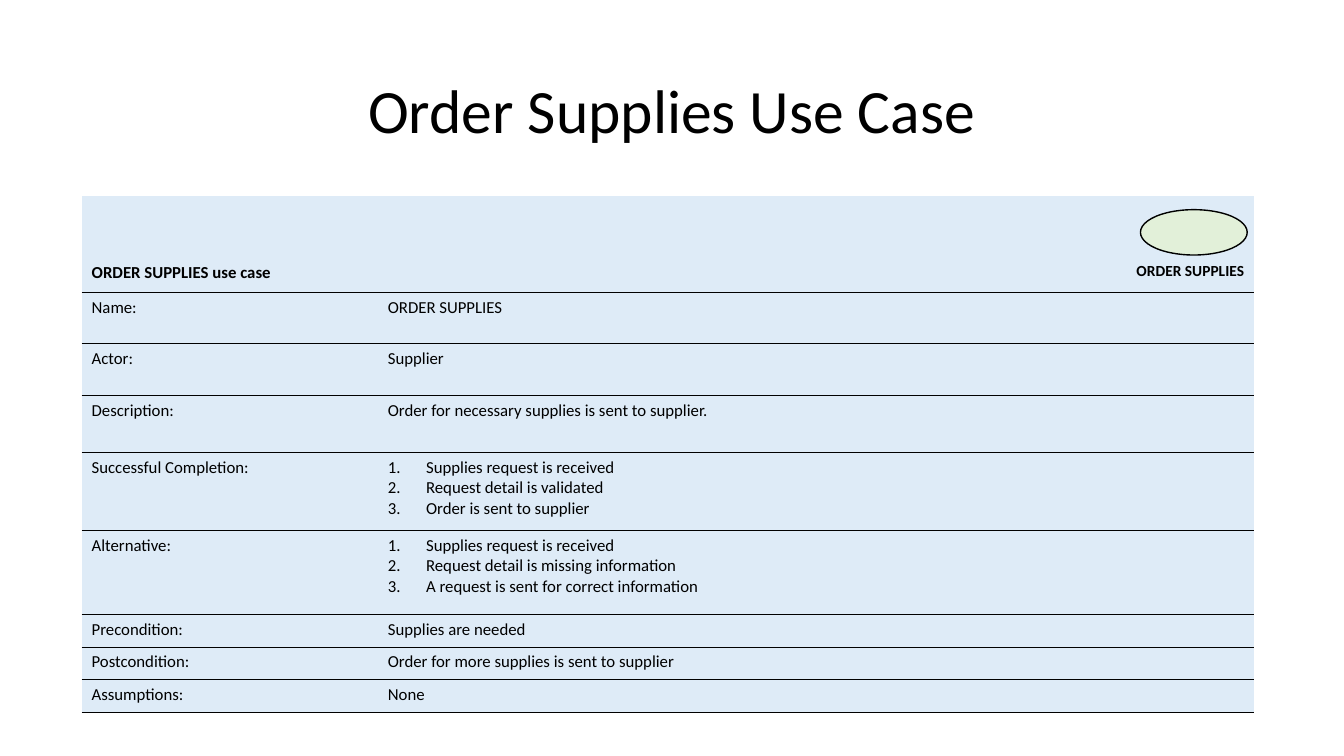
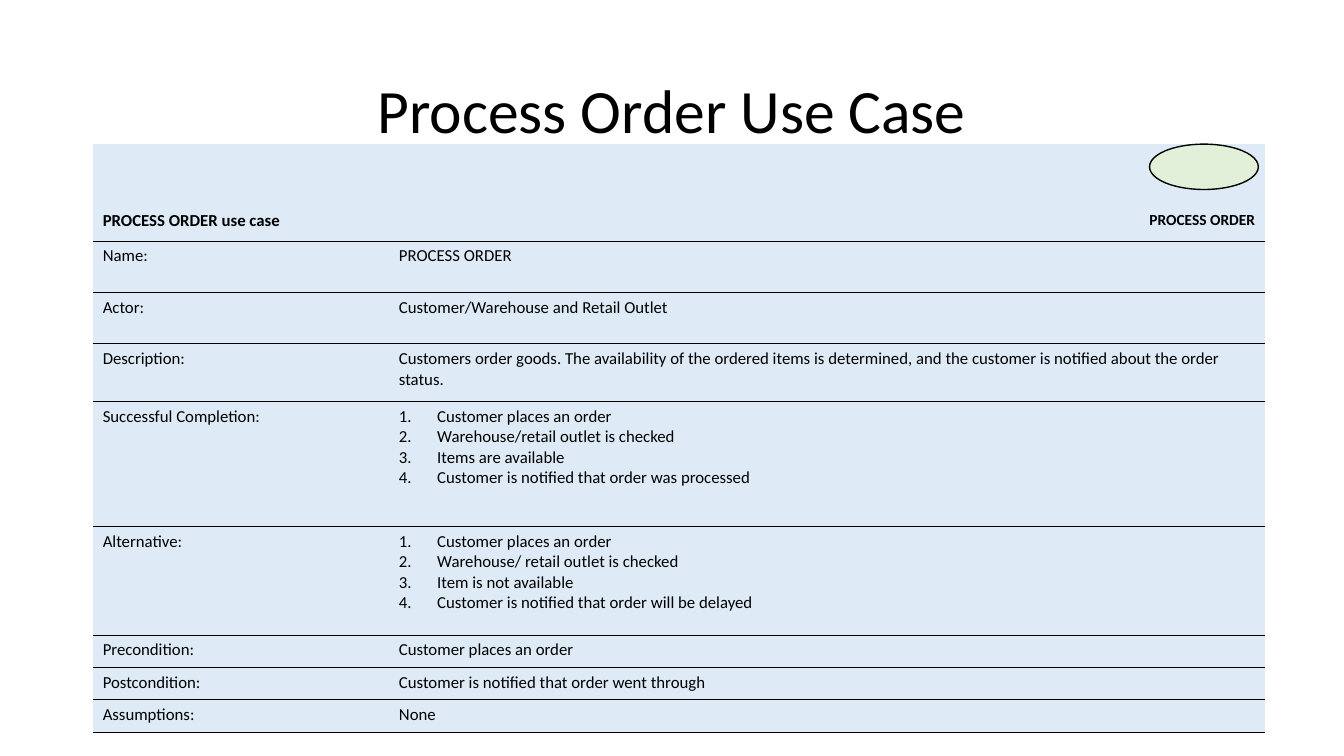
from lxml import etree
from pptx import Presentation
from pptx.dml.color import RGBColor
from pptx.enum.shapes import MSO_SHAPE
from pptx.enum.text import MSO_ANCHOR, PP_ALIGN
from pptx.oxml.ns import qn
from pptx.util import Pt

# Lengths are px, 100 to the inch
PX = 9144
SLIDE_SIZE = (1334, 750)
TITLE_BOX = (92, 40, 1150, 145)
COLUMN_WIDTHS = (294, 870)
HEADER_HEIGHT = 96
HEADER_TOP_MARGIN = 66
NUMBER_INDENT = 38
BORDER_WIDTH = 5715

FONT = "Calibri"
BLACK = RGBColor(0x00, 0x00, 0x00)
PALE_BLUE = RGBColor(0xDE, 0xEB, 0xF7)
PALE_GREEN = RGBColor(0xE2, 0xF0, 0xD9)

ELLIPSE = MSO_SHAPE.OVAL
MIDDLE = MSO_ANCHOR.MIDDLE
LEFT, CENTER, RIGHT = PP_ALIGN.LEFT, PP_ALIGN.CENTER, PP_ALIGN.RIGHT
TITLE_ONLY = 5
PLAIN_TABLE_STYLE = "{2D5ABB26-0587-4C30-8999-92F81FD0307C}"

LABELS = ("Name:", "Actor:", "Description:", "Successful Completion:",
          "Alternative:", "Precondition:", "Postcondition:", "Assumptions:")

# Each value is one text, or a list of numbered steps
USE_CASES = (
    {
        "title": "Order Supplies Use Case",
        "name": "ORDER SUPPLIES",
        "table_at": (81, 194),
        "ellipse": (1132, 208, 106, 45),
        "heights": (51, 51, 57, 77, 84, 32, 32, 33),
        "values": (
            "ORDER SUPPLIES",
            "Supplier",
            "Order for necessary supplies is sent to supplier.",
            ["Supplies request is received",
             "Request detail is validated",
             "Order is sent to supplier"],
            ["Supplies request is received",
             "Request detail is missing information",
             "A request is sent for correct information"],
            "Supplies are needed",
            "Order for more supplies is sent to supplier",
            "None",
        ),
    },
    {
        "title": "Process Order Use Case",
        "name": "PROCESS ORDER",
        "table_at": (92, 143),
        "ellipse": (1141, 143, 108, 45),
        "heights": (51, 51, 57, 124, 108, 32, 32, 33),
        "values": (
            "PROCESS ORDER",
            "Customer/Warehouse and Retail Outlet",
            "Customers order goods. The availability of the ordered items is "
            "determined, and the customer is notified about the order status.",
            ["Customer places an order",
             "Warehouse/retail outlet is checked",
             "Items are available",
             "Customer is notified that order was processed"],
            ["Customer places an order",
             "Warehouse/ retail outlet is checked",
             "Item is not available",
             "Customer is notified that order will be delayed"],
            "Customer places an order",
            "Customer is notified that order went through",
            "None",
        ),
    },
)


def emu(*lengths):
    return [length * PX for length in lengths]


def format_para(para, size, bold=False, align=LEFT):
    para.alignment = align
    para.font.name = FONT
    para.font.size = Pt(size)
    para.font.bold = bold
    para.font.color.rgb = BLACK


def add_number(para):
    properties = para._p.get_or_add_pPr()
    properties.set("marL", str(NUMBER_INDENT * PX))
    properties.set("indent", str(-NUMBER_INDENT * PX))
    etree.SubElement(properties, qn("a:buFont"), typeface="+mj-lt")
    etree.SubElement(properties, qn("a:buAutoNum"), type="arabicPeriod")


def add_border(cell, side):
    line = etree.SubElement(cell._tc.get_or_add_tcPr(), qn(f"a:{side}"),
                            w=str(BORDER_WIDTH))
    fill = etree.SubElement(line, qn("a:solidFill"))
    etree.SubElement(fill, qn("a:srgbClr"), val=str(BLACK))


def fill_cell(cell, content, size=12, bold=False, align=LEFT):
    numbered = isinstance(content, list)
    cell.text = "\n".join(content) if numbered else content
    for para in cell.text_frame.paragraphs:
        if numbered:
            add_number(para)
        format_para(para, size, bold, align)


def add_title(slide, text):
    title = slide.shapes.title
    title.left, title.top, title.width, title.height = emu(*TITLE_BOX)
    title.text_frame.text = text
    title.text_frame.vertical_anchor = MIDDLE
    para = title.text_frame.paragraphs[0]
    para.line_spacing = 0.9
    format_para(para, 44, align=CENTER)


def add_use_case_table(slide, case):
    heights = (HEADER_HEIGHT, *case["heights"])
    frame = slide.shapes.add_table(
        len(heights), len(COLUMN_WIDTHS),
        *emu(*case["table_at"], sum(COLUMN_WIDTHS), sum(heights)))
    table = frame.table
    table.first_row = table.horz_banding = False
    table._tbl.tblPr.find(qn("a:tableStyleId")).text = PLAIN_TABLE_STYLE
    for column, width in zip(table.columns, COLUMN_WIDTHS):
        column.width = width * PX
    for row, height in zip(table.rows, heights):
        row.height = height * PX

    # Rules between rows and one fill throughout
    for index, row in enumerate(table.rows):
        for cell in row.cells:
            if index:
                add_border(cell, "lnT")
            add_border(cell, "lnB")
            cell.fill.solid()
            cell.fill.fore_color.rgb = PALE_BLUE

    # Header row
    heading, caption = table.rows[0].cells
    fill_cell(heading, f"{case['name']} use case", bold=True)
    fill_cell(caption, case["name"], size=11, bold=True, align=RIGHT)
    heading.margin_top = caption.margin_top = HEADER_TOP_MARGIN * PX

    # Detail rows
    for index, (label, value) in enumerate(zip(LABELS, case["values"]), 1):
        fill_cell(table.cell(index, 0), label)
        fill_cell(table.cell(index, 1), value)


def add_ellipse(slide, box):
    ellipse = slide.shapes.add_shape(ELLIPSE, *emu(*box))
    ellipse.shadow.inherit = False
    ellipse.fill.solid()
    ellipse.fill.fore_color.rgb = PALE_GREEN
    ellipse.line.color.rgb = BLACK
    ellipse.line.width = Pt(1)


def main():
    deck = Presentation()
    deck.slide_width, deck.slide_height = emu(*SLIDE_SIZE)
    for case in USE_CASES:
        slide = deck.slides.add_slide(deck.slide_layouts[TITLE_ONLY])
        add_title(slide, case["title"])
        add_use_case_table(slide, case)
        add_ellipse(slide, case["ellipse"])
    deck.save("out.pptx")


if __name__ == "__main__":
    main()
